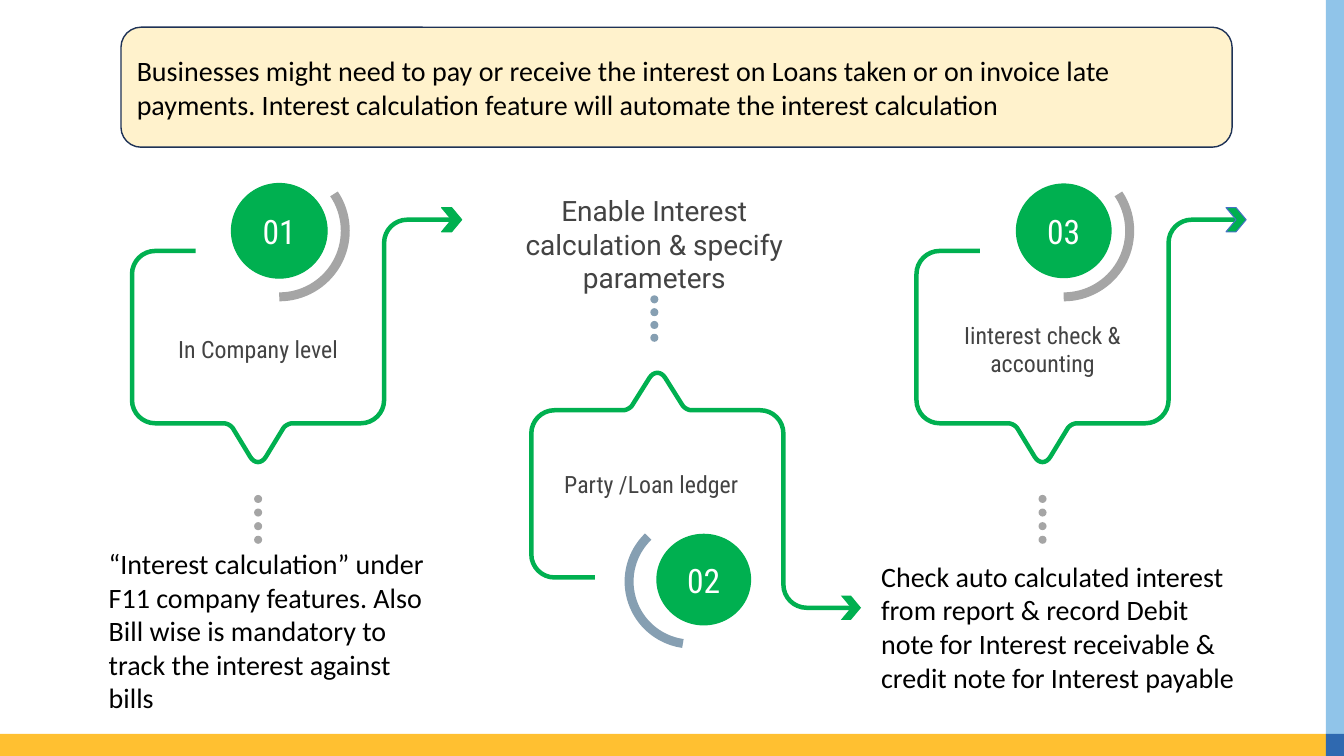
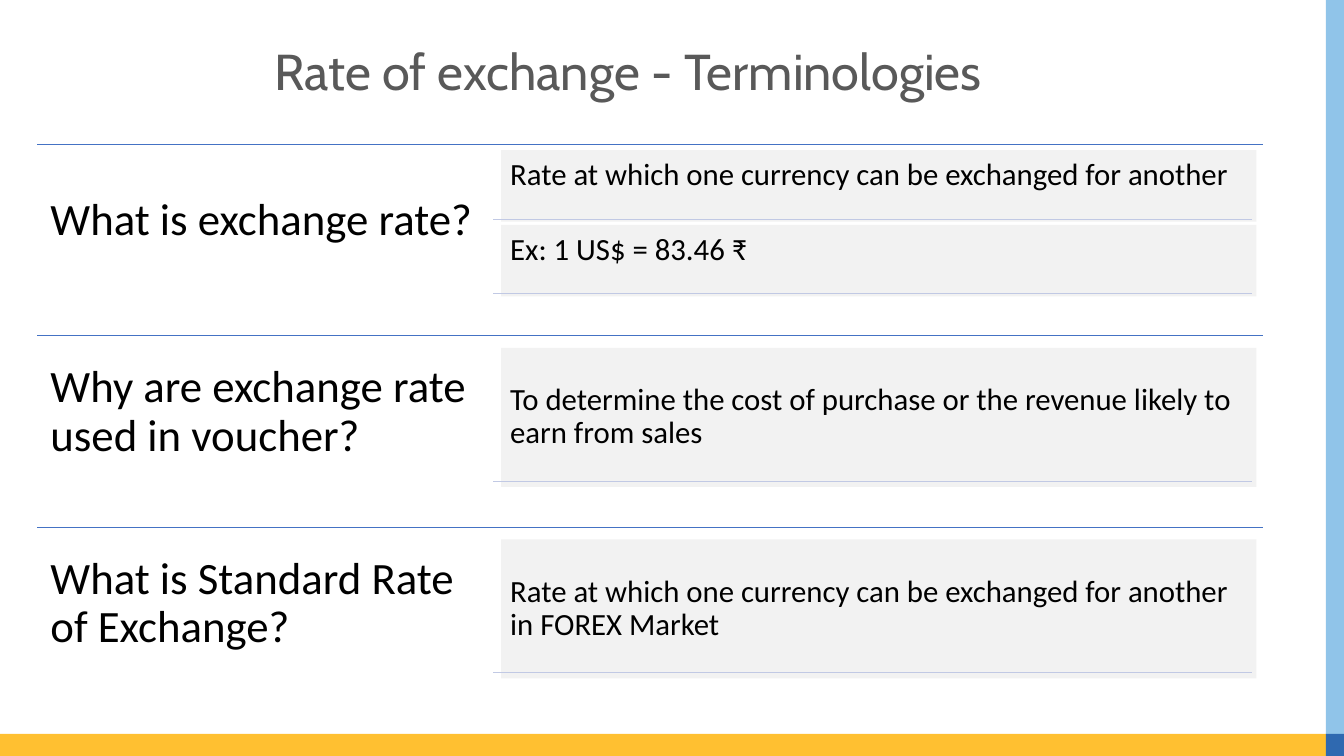
from dataclasses import dataclass
from math import dist

from lxml import etree
from pptx import Presentation
from pptx.dml.color import RGBColor
from pptx.enum.shapes import MSO_CONNECTOR, MSO_SHAPE
from pptx.enum.text import MSO_ANCHOR, PP_ALIGN
from pptx.oxml.ns import qn
from pptx.util import Inches, Pt

RECT, ROUNDED = MSO_SHAPE.RECTANGLE, MSO_SHAPE.ROUNDED_RECTANGLE
OVAL, ARC, CHEVRON = MSO_SHAPE.OVAL, MSO_SHAPE.ARC, MSO_SHAPE.CHEVRON
STRAIGHT = MSO_CONNECTOR.STRAIGHT
TOP, MIDDLE, BOTTOM = MSO_ANCHOR.TOP, MSO_ANCHOR.MIDDLE, MSO_ANCHOR.BOTTOM
LEFT, CENTER = PP_ALIGN.LEFT, PP_ALIGN.CENTER

# The slide is a grid of square cells, ten to the inch.
COLUMNS, ROWS = 133.3, 75


@dataclass(frozen=True)
class Theme:
    black: str = "000000"
    white: str = "FFFFFF"
    title: str = "595959"
    label: str = "434343"
    green: str = "00B050"
    blue: str = "4472C4"
    navy: str = "1E3256"
    cream: str = "FFF2CC"
    gray: str = "A5A5A5"
    steel: str = "869FB2"
    answer: str = "F2F2F2"
    hairline: str = "C1C9E4"
    band_bottom: str = "FFC031"
    band_side: str = "90C4E9"
    band_corner: str = "2F69B0"
    body_font: str = "Calibri"
    title_font: str = "Cabin"
    label_font: str = "Roboto Condensed"
    note_font: str = "Roboto"
    title_size: float = 36
    question_size: float = 32
    number_size: float = 24
    answer_size: float = 22
    body_size: float = 20
    label_size: float = 17
    thin: float = 0.5
    outline: float = 0.75
    border: float = 1
    track: float = 3.21
    swoosh: float = 6.42


THEME = Theme()


def cells(*lengths):
    """Turn grid cells into slide units."""
    return [Inches(length / 10) for length in lengths]


def rounded_path(corners, steps=8):
    """Points along a polyline; each corner is (x, y, length cut off before and after it)."""
    points = [corners[0][:2]]
    for before, (x, y, cut), after in zip(corners, corners[1:], corners[2:]):
        def toward(end, share):
            reach = cut * share / dist((x, y), end[:2])
            return x + (end[0] - x) * reach, y + (end[1] - y) * reach

        handles = (toward(before, 1), toward(before, 0.45),
                   toward(after, 0.45), toward(after, 1))
        for step in range(steps + 1):
            t = step / steps
            weights = ((1 - t) ** 3, 3 * t * (1 - t) ** 2, 3 * t * t * (1 - t), t ** 3)
            points.append(tuple(sum(w * h[axis] for w, h in zip(weights, handles))
                                for axis in (0, 1)))
    return points + [corners[-1][:2]]


def write(shape, text, *, size=THEME.body_size, font=THEME.body_font, color=THEME.black,
          align=LEFT, anchor=MIDDLE, inset=1, spacing=None):
    frame = shape.text_frame
    frame.word_wrap = True
    frame.vertical_anchor = anchor
    frame.margin_left = frame.margin_right = frame.margin_top = frame.margin_bottom = cells(inset)[0]
    paragraph = frame.paragraphs[0]
    paragraph.alignment = align
    if spacing:
        paragraph.line_spacing = spacing
    run = paragraph.add_run()
    run.text = text
    run.font.size = Pt(size)
    run.font.name = font
    run.font.color.rgb = RGBColor.from_string(color)


class Deck:
    def __init__(self):
        self.presentation = Presentation()
        self.presentation.slide_width, self.presentation.slide_height = cells(COLUMNS, ROWS)
        self.shapes = None

    def new_slide(self):
        """Add a blank slide with the coloured bands at its bottom and right edges."""
        layout = self.presentation.slide_layouts[6]
        self.shapes = self.presentation.slides.add_slide(layout).shapes
        side, floor = 131.5, 72.8
        self.shape(RECT, 0, floor, side, ROWS - floor, fill=THEME.band_bottom)
        self.shape(RECT, side, 0, COLUMNS - side, floor, fill=THEME.band_side)
        self.shape(RECT, side, floor, COLUMNS - side, ROWS - floor, fill=THEME.band_corner)

    def style(self, shape, fill, line, width):
        shape.shadow.inherit = False
        if fill:
            shape.fill.solid()
            shape.fill.fore_color.rgb = RGBColor.from_string(fill)
        else:
            shape.fill.background()
        if line:
            shape.line.color.rgb = RGBColor.from_string(line)
            shape.line.width = Pt(width)
        else:
            shape.line.fill.background()
        return shape

    def shape(self, kind, x, y, w, h, fill=None, line=None, width=THEME.outline):
        return self.style(self.shapes.add_shape(kind, *cells(x, y, w, h)), fill, line, width)

    def text(self, x, y, w, h, words, **fmt):
        write(self.shapes.add_textbox(*cells(x, y, w, h)), words, **fmt)

    def rule(self, x1, x2, y, color):
        rule = self.shapes.add_connector(STRAIGHT, *cells(x1, y, x2, y))
        rule.line.color.rgb = RGBColor.from_string(color)
        rule.line.width = Pt(THEME.thin)
        etree.SubElement(rule._element.spPr, qn("a:effectLst"))

    def track(self, corners):
        start, *rest = [cells(*point) for point in rounded_path(corners)]
        builder = self.shapes.build_freeform(*start, scale=1.0)
        builder.add_line_segments(rest, close=False)
        self.style(builder.convert_to_shape(), None, THEME.green, THEME.track)

    def arc(self, x, y, radius, start, end, color):
        """Draw a clockwise arc around x, y between two angles in degrees."""
        arc = self.shape(ARC, x - radius, y - radius, 2 * radius, 2 * radius,
                         line=color, width=THEME.swoosh)
        for index, angle in enumerate((start, end)):
            arc.adjustments[index] = angle * 0.6

    def dots(self, x, y, pitch, color, count=4, size=0.8):
        for index in range(count):
            self.shape(OVAL, x - size / 2, y + index * pitch, size, size, fill=color)

    def badge(self, x, y, w, h, number, line=None):
        badge = self.shape(OVAL, x - w / 2, y - h / 2, w, h, fill=THEME.green, line=line)
        write(badge, number, size=THEME.number_size, font=THEME.label_font,
              color=THEME.white, align=CENTER)

    def callout(self, left, base, stretch, arrow_line):
        """Draw a step's outline, its tail on the base edge and its exit arrow.

        A negative stretch turns the outline upside down.
        """
        outline = ((6.3, -17.1, 0), (0, -17.1, 2.3), (0, 0, 2.3), (9.7, 0, 0.6),
                   (12.5, 4.6, 1.5), (15.3, 0, 0.6), (25, 0, 2.3), (25, -20.2, 2.3),
                   (31.7, -20.2, 0))
        corners = [(left + x, base + y * stretch, cut) for x, y, cut in outline]
        self.track(corners)
        tip_x, tip_y, _ = corners[-1]
        self.shape(CHEVRON, tip_x - 1, tip_y - 1.2, 2, 2.4, fill=THEME.green, line=arrow_line)

    def label(self, x, y, words):
        self.text(x, y, 25, 7.2, words, size=THEME.label_size, font=THEME.label_font,
                  color=THEME.label, align=CENTER)

    def upper_step(self, left, number, label, badge_line, arrow_line):
        badge_x, badge_y = left + 14.6, 22.9
        self.badge(badge_x, badge_y, 9.5, 9.4, number, badge_line)
        self.arc(badge_x, badge_y, 6.55, 326, 90, THEME.gray)
        self.callout(left, 42, 1, arrow_line)
        self.dots(left + 12.5, 49.1, 1.35, THEME.gray)
        self.label(left, 31, label)

    def lower_step(self, left, number, label):
        self.badge(left + 17.1, 57.5, 9.4, 9.1, number)
        self.arc(left + 15.9, 57.7, 6.2, 98, 226, THEME.steel)
        self.callout(left, 40.7, -0.97, None)
        self.dots(left + 12.2, 29.3, 1.27, THEME.steel)
        self.label(left - 0.6, 44.4, label)

    def topic(self, top, question, answers, offset, height, anchor):
        self.rule(3.7, 125.3, top, THEME.blue)
        self.text(3.7, top, 45.1, 15.2, question, size=THEME.question_size,
                  inset=1.3, spacing=0.9)
        for index, answer in enumerate(answers):
            y = top + offset + index * (height + 0.3)
            panel = self.shape(RECT, 49.7, y, 74.9, height, fill=THEME.answer)
            write(panel, answer, size=THEME.answer_size, anchor=anchor, inset=0.9, spacing=0.9)
            self.rule(48.9, 124.2, y + 0.96 * height, THEME.hairline)


def interest_steps(deck):
    deck.new_slide()
    intro = deck.shape(ROUNDED, 12, 2.7, 110.2, 11.9, fill=THEME.cream,
                       line=THEME.navy, width=THEME.border)
    write(intro, "Businesses might need to pay or receive the interest on Loans taken or on "
                 "invoice late payments. Interest calculation feature will automate the "
                 "interest calculation")
    deck.upper_step(13.1, "01", "In Company level", THEME.green, THEME.green)
    deck.text(9.8, 57.4, 34.1, 10.3,
              "“Interest calculation” under F11 company features. Also Bill wise is "
              "mandatory to track the interest against bills")
    deck.lower_step(52.7, "02", "Party /Loan ledger")
    deck.text(47.9, 19.2, 34, 10, "Enable Interest calculation & specify parameters",
              font=THEME.note_font, color=THEME.label, align=CENTER)
    deck.upper_step(90.9, "03", "Iinterest check & accounting", None, THEME.blue)
    deck.text(86.4, 53.5, 37.2, 17.3,
              "Check auto calculated interest from report & record Debit note for "
              "Interest receivable & credit note for Interest payable")


def exchange_terms(deck):
    deck.new_slide()
    deck.text(16.4, 3.6, 91.8, 7, "Rate of exchange - Terminologies", size=THEME.title_size,
              font=THEME.title_font, color=THEME.title, align=CENTER, anchor=BOTTOM,
              inset=0.5, spacing=0.9)
    pair, single = (0.6, 7.1, TOP), (1.2, 13.8, MIDDLE)
    topics = (
        ("What is exchange rate?",
         ("Rate at which one currency can be exchanged for another", "Ex: 1 US$ = 83.46 ₹"),
         pair),
        ("Why are exchange rate used in voucher?",
         ("To determine the cost of purchase or the revenue likely to earn from sales",),
         single),
        ("What is Standard Rate of Exchange?",
         ("Rate at which one currency can be exchanged for another in FOREX Market",),
         single),
    )
    for index, (question, answers, arrangement) in enumerate(topics):
        deck.topic(14.3 + 19 * index, question, answers, *arrangement)


def main():
    deck = Deck()
    interest_steps(deck)
    exchange_terms(deck)
    deck.presentation.save("out.pptx")


if __name__ == "__main__":
    main()
